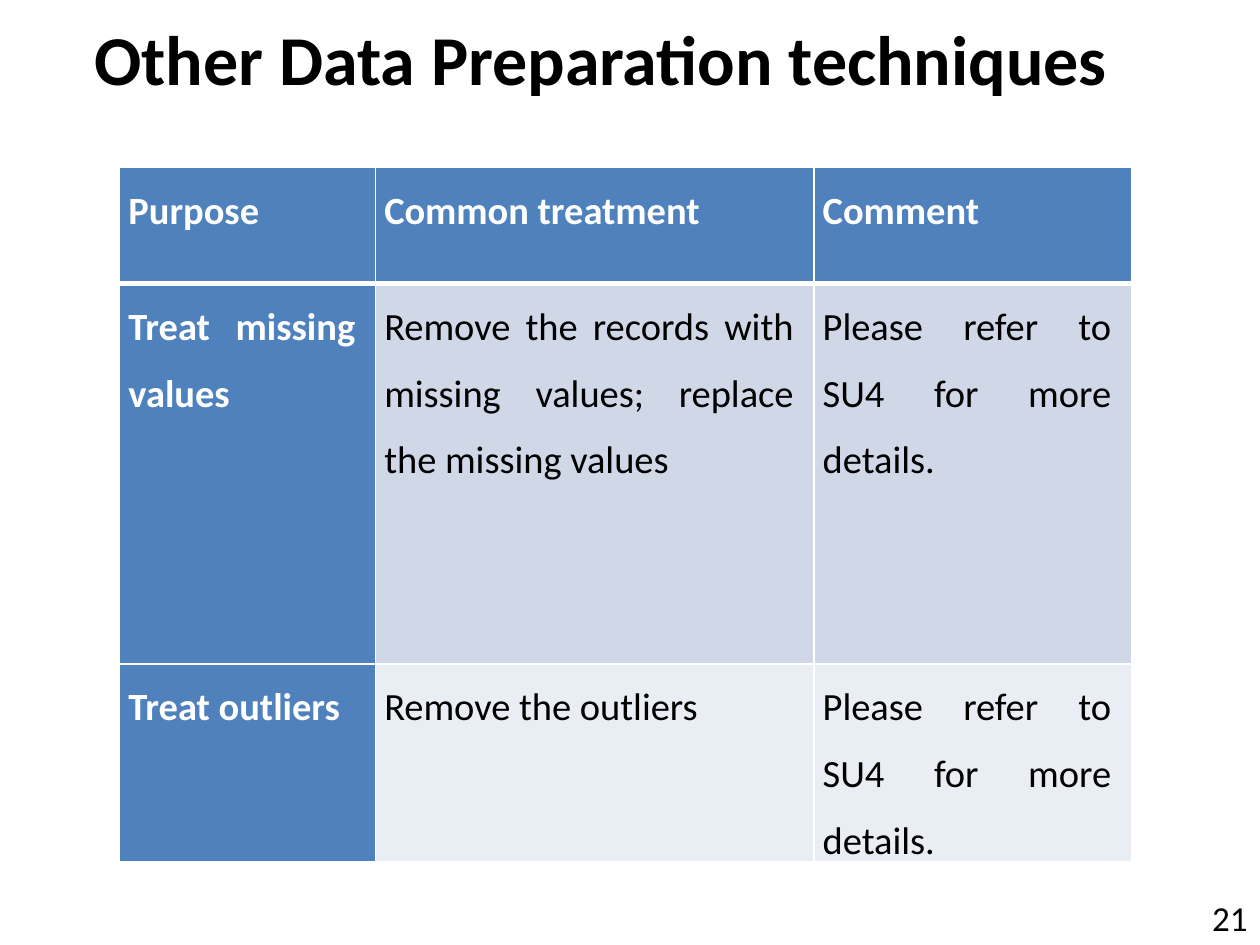
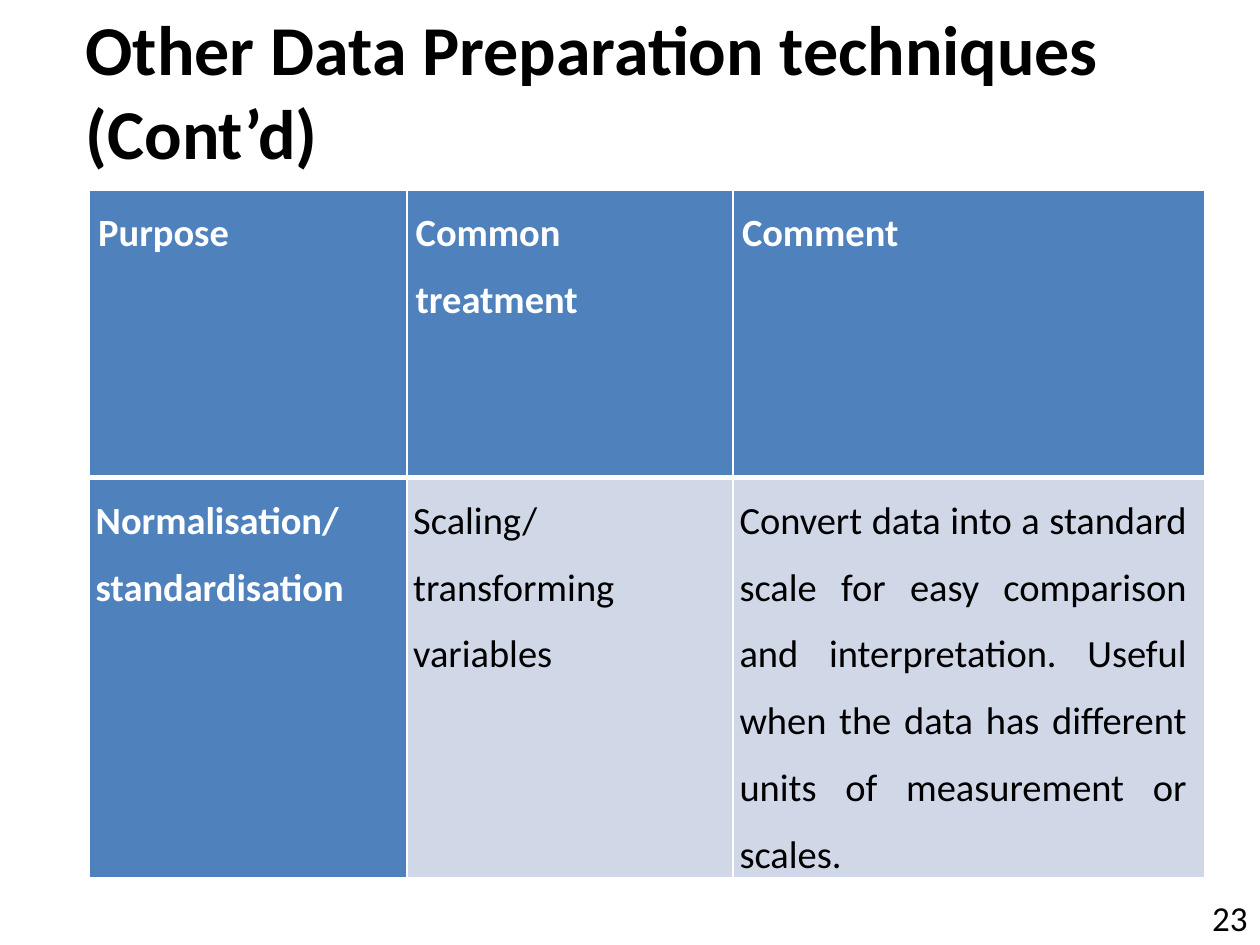
from dataclasses import dataclass

from lxml.etree import SubElement
from pptx import Presentation
from pptx.dml.color import RGBColor
from pptx.enum.text import MSO_ANCHOR, MSO_AUTO_SIZE, PP_ALIGN
from pptx.oxml.ns import qn
from pptx.util import Inches, Pt


@dataclass(frozen=True)
class Theme:
    font: str = "Calibri"
    black: RGBColor = RGBColor(0x00, 0x00, 0x00)
    white: RGBColor = RGBColor(0xFF, 0xFF, 0xFF)
    accent: RGBColor = RGBColor(0x4F, 0x81, 0xBD)
    bands: tuple = (RGBColor(0xD0, 0xD8, 0xE8), RGBColor(0xE9, 0xED, 0xF4))
    title_size: int = 40
    table_size: int = 22
    number_size: int = 20
    rule: int = 1
    header_rule: int = 3


THEME = Theme()

RIGHT_INDENT = 0.09
HEADINGS = ["Purpose", "Common treatment", "Comment"]
SEE_UNIT = "Please refer to SU4 for more details."
PAGES = [
    {
        "number": "21",
        "title": "Other Data Preparation techniques",
        "title_at": (0.65, 0),
        "table_at": (0.95, 1.33),
        "columns": [2.03, 3.48, 2.52],
        "heights": [0.92, 3.02, 1.17],
        "body_inset": 0.07,
        "techniques": [
            ["Treat missing values",
             "Remove the records with missing values; replace the missing values",
             SEE_UNIT],
            ["Treat outliers", "Remove the outliers", SEE_UNIT],
        ],
    },
    {
        "number": "23",
        "title": "Other Data Preparation techniques (Cont’d)",
        "title_at": (0.58, 0.25),
        "table_at": (0.71, 1.51),
        "columns": [2.52, 2.59, 3.74],
        "heights": [2.28, 3.18],
        "body_inset": 0.05,
        "techniques": [
            ["Normalisation/standardisation",
             "Scaling/transforming variables",
             "Convert data into a standard scale for easy comparison and "
             "interpretation. Useful when the data has different units of "
             "measurement or scales."],
        ],
    },
]


def style_paragraph(para, size, color, bold, align):
    para.alignment = align
    para.font.name = THEME.font
    para.font.size = Pt(size)
    para.font.bold = bold
    para.font.color.rgb = color


def add_cell_borders(cell, top, bottom):
    """Draw white borders; must run before the cell is filled."""
    properties = cell._tc.get_or_add_tcPr()
    widths = {"lnL": THEME.rule, "lnR": THEME.rule, "lnT": top, "lnB": bottom}
    for side, width in widths.items():
        line = SubElement(properties, qn(f"a:{side}"), w=str(Pt(width)))
        fill = SubElement(line, qn("a:solidFill"))
        SubElement(fill, qn("a:srgbClr"), val=str(THEME.white))


deck = Presentation()
deck.slide_width = Inches(10)
deck.slide_height = Inches(7.5)
title_only = deck.slide_layouts[5]

for content in PAGES:
    page = deck.slides.add_slide(title_only)

    title = page.shapes.title
    title.left, title.top = map(Inches, content["title_at"])
    title.width, title.height = Inches(8.85), Inches(0.92)
    frame = title.text_frame
    frame.text = content["title"]
    frame.auto_size = MSO_AUTO_SIZE.NONE
    frame.vertical_anchor = MSO_ANCHOR.MIDDLE
    style_paragraph(frame.paragraphs[0], THEME.title_size, THEME.black, True, PP_ALIGN.LEFT)

    number = page.shapes.add_textbox(Inches(8.63), Inches(6.96), Inches(1.37), Inches(0.54))
    frame = number.text_frame
    frame.text = content["number"]
    frame.word_wrap = True
    frame.vertical_anchor = MSO_ANCHOR.BOTTOM
    style_paragraph(frame.paragraphs[0], THEME.number_size, THEME.black, False, PP_ALIGN.RIGHT)

    rows = [HEADINGS] + content["techniques"]
    left, top = map(Inches, content["table_at"])
    table = page.shapes.add_table(
        len(rows), len(HEADINGS), left, top,
        Inches(sum(content["columns"])), Inches(sum(content["heights"])),
    ).table
    for column, width in zip(table.columns, content["columns"]):
        column.width = Inches(width)
    for row, height in zip(table.rows, content["heights"]):
        row.height = Inches(height)

    for row_index, texts in enumerate(rows):
        is_header = row_index == 0
        for column_index, text in enumerate(texts):
            cell = table.cell(row_index, column_index)
            is_label = is_header or column_index == 0
            add_cell_borders(
                cell,
                top=THEME.header_rule if row_index == 1 else THEME.rule,
                bottom=THEME.header_rule if is_header else THEME.rule,
            )
            cell.fill.solid()
            band = THEME.bands[(row_index - 1) % len(THEME.bands)]
            cell.fill.fore_color.rgb = THEME.accent if is_label else band
            inset = 0.07 if is_header else content["body_inset"]
            cell.margin_left = Inches(inset)
            cell.margin_right = Inches(inset + RIGHT_INDENT)
            cell.margin_top = cell.margin_bottom = Inches(0)
            cell.text = text
            para = cell.text_frame.paragraphs[0]
            para.line_spacing = 1.43
            para.space_before = Pt(10.1)
            color = THEME.white if is_label else THEME.black
            style_paragraph(para, THEME.table_size, color, is_label, PP_ALIGN.JUSTIFY)

deck.save("out.pptx")
